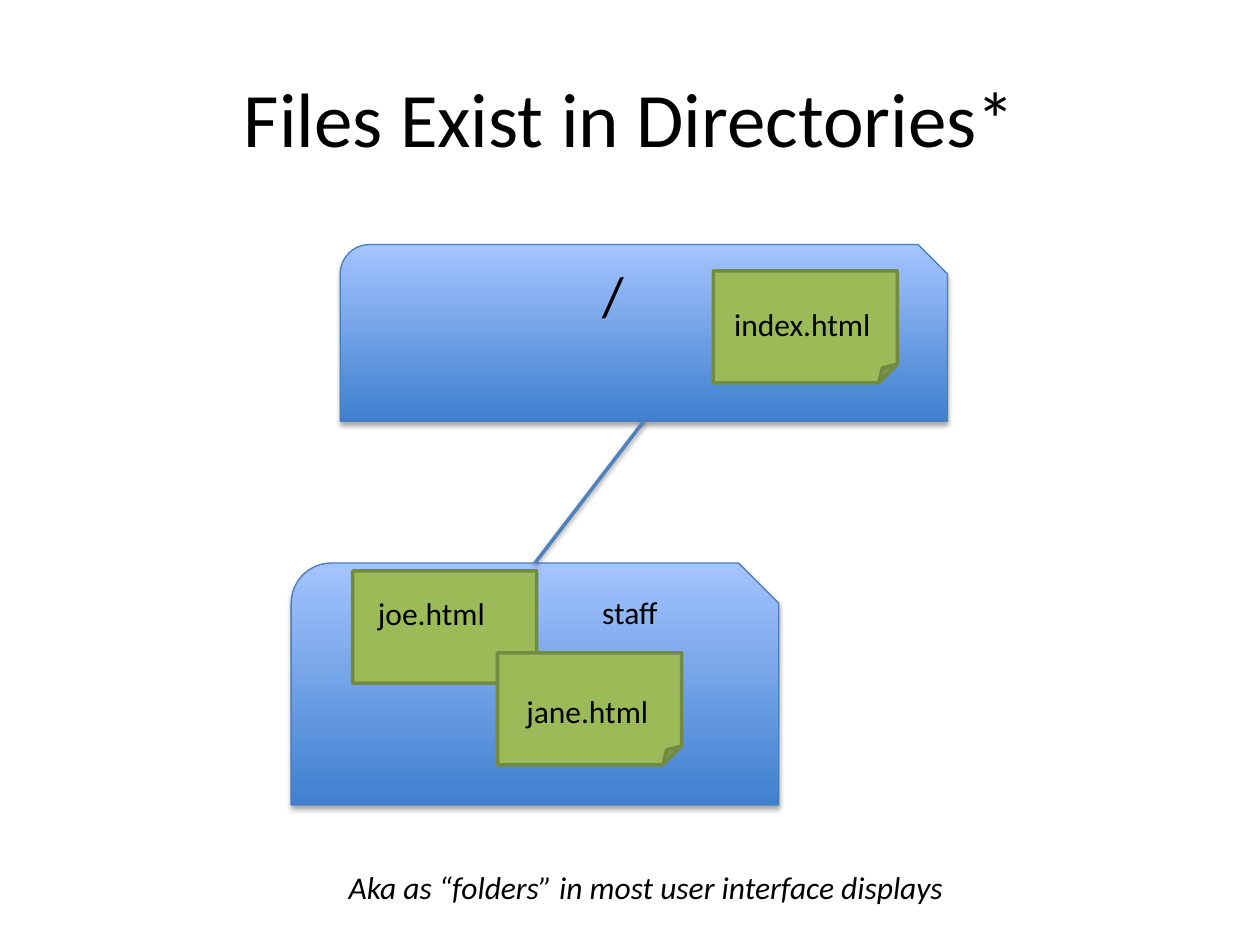
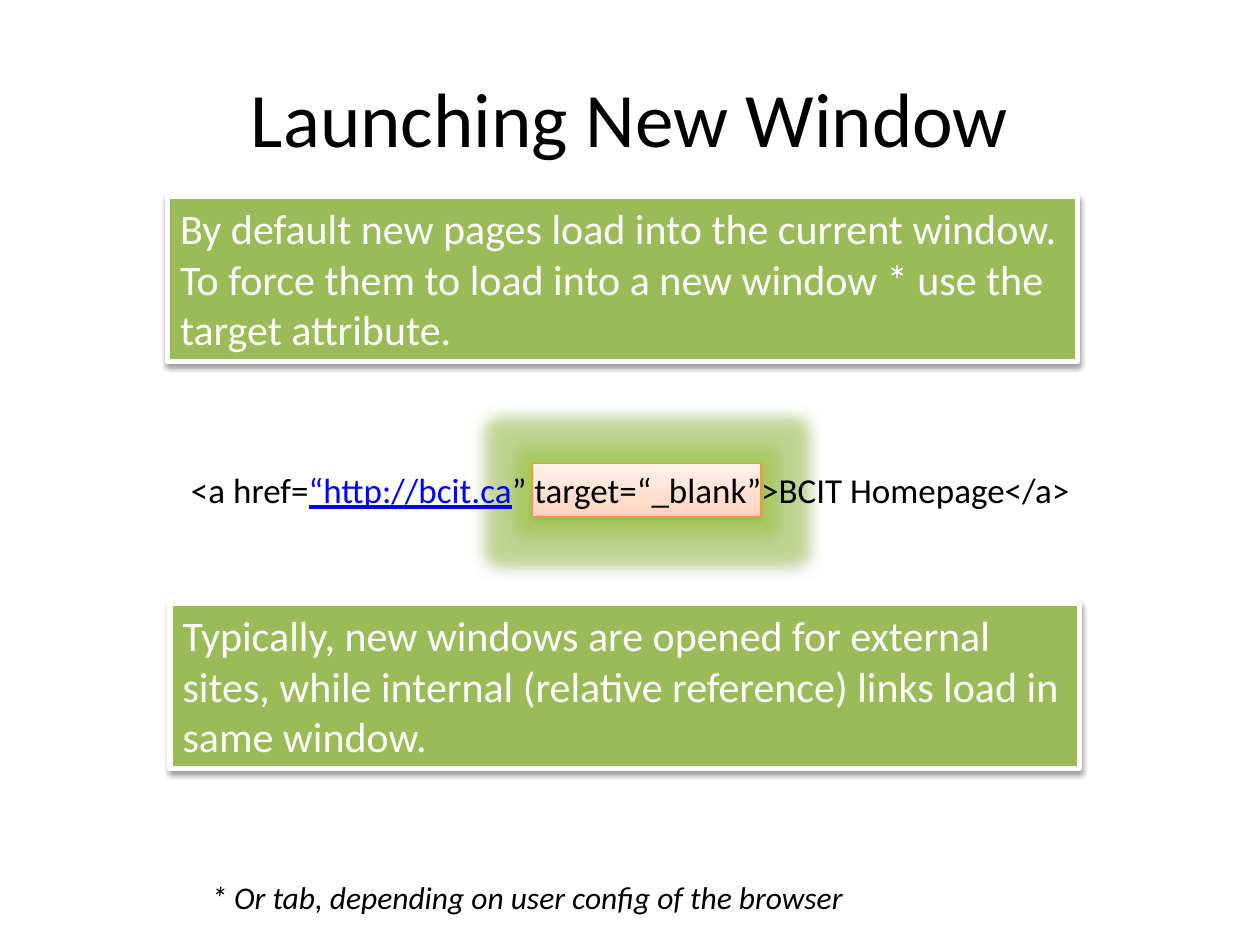
from copy import deepcopy

from lxml import etree
from pptx import Presentation
from pptx.dml.color import RGBColor
from pptx.enum.shapes import MSO_CONNECTOR, MSO_SHAPE
from pptx.enum.text import MSO_ANCHOR, PP_ALIGN
from pptx.oxml.ns import qn
from pptx.util import Cm, Pt

FONT = "Calibri"
BLACK = RGBColor(0x00, 0x00, 0x00)
WHITE = RGBColor(0xFF, 0xFF, 0xFF)
LINK_BLUE = RGBColor(0x00, 0x00, 0xFF)
GREEN = RGBColor(0x9B, 0xBB, 0x59)
DARK_GREEN = RGBColor(0x73, 0x8A, 0x42)
GLOW_GREEN = RGBColor(0x9B, 0xCF, 0x2A)
BLUE = RGBColor(0x4F, 0x81, 0xBD)
FOLDER_EDGE = RGBColor(0x4B, 0x7E, 0xBC)
ORANGE = RGBColor(0xF6, 0x92, 0x40)

# Gradient stops run from the bottom edge to the top edge
FOLDER_STOPS = [(0, RGBColor(0x3F, 0x80, 0xCE)), (1, RGBColor(0xA4, 0xC4, 0xFF))]
HIGHLIGHT_STOPS = [
    (0, RGBColor(0xFF, 0xD2, 0xBD)),
    (0.35, RGBColor(0xFF, 0xDE, 0xD0)),
    (1, RGBColor(0xFF, 0xF2, 0xED)),
]

FILE_WIDTH, FILE_HEIGHT = 3.71, 2.26
LABEL_HEIGHT = 1.02


# Text
def format_run(run, size, color=BLACK, italic=False):
    run.font.name = FONT
    run.font.size = Pt(size)
    run.font.color.rgb = color
    run.font.italic = italic


def add_titled_slide(presentation, title):
    slide = presentation.slides.add_slide(presentation.slide_layouts[5])
    shape = slide.shapes.title
    shape.left, shape.top, shape.width, shape.height = map(Cm, (1.27, 0.76, 22.86, 3.18))
    shape.text_frame.text = title
    shape.text_frame.vertical_anchor = MSO_ANCHOR.MIDDLE
    paragraph = shape.text_frame.paragraphs[0]
    paragraph.alignment = PP_ALIGN.CENTER
    format_run(paragraph.runs[0], 44)
    return slide


def add_label(slide, text, left, top, width, height=LABEL_HEIGHT, size=18,
              italic=False, alignment=PP_ALIGN.LEFT):
    box = slide.shapes.add_textbox(Cm(left), Cm(top), Cm(width), Cm(height))
    box.text_frame.word_wrap = True
    box.text_frame.text = text
    paragraph = box.text_frame.paragraphs[0]
    paragraph.alignment = alignment
    format_run(paragraph.runs[0], size, italic=italic)
    return box


# Effects and fills
def add_effect(shape, tag, color, opacity, **attributes):
    properties = shape._element.spPr
    effects = properties.find(qn("a:effectLst"))
    if effects is None:
        effects = etree.SubElement(properties, qn("a:effectLst"))
    effect = etree.SubElement(effects, qn(tag), attributes)
    tint = etree.SubElement(effect, qn("a:srgbClr"), val=str(color))
    etree.SubElement(tint, qn("a:alpha"), val=str(opacity * 1000))


def add_shadow(shape, opacity=38, distance=1.6):
    add_effect(shape, "a:outerShdw", BLACK, opacity, blurRad=str(Pt(3.1)),
               dist=str(Pt(distance)), dir="5400000", rotWithShape="0")


def fill_gradient(shape, stops):
    shape.fill.gradient()
    shape.fill.gradient_angle = 90
    stop_list = shape._element.spPr.find(".//" + qn("a:gsLst"))
    while len(stop_list) < len(stops):
        stop_list.append(deepcopy(stop_list[0]))
    for stop, (position, color) in zip(shape.fill.gradient_stops, stops):
        stop.position = position
        stop.color.rgb = color


# Shapes
def add_outlined_shape(slide, kind, left, top, width, height, edge, edge_width):
    shape = slide.shapes.add_shape(kind, Cm(left), Cm(top), Cm(width), Cm(height))
    shape.shadow.inherit = False
    shape.line.color.rgb = edge
    shape.line.width = Pt(edge_width)
    return shape


def add_folder(slide, left, top, width, height):
    folder = add_outlined_shape(slide, MSO_SHAPE.SNIP_ROUND_RECTANGLE,
                                left, top, width, height, FOLDER_EDGE, 0.75)
    fill_gradient(folder, FOLDER_STOPS)
    add_shadow(folder, 35, 1.8)
    return folder


def add_file(slide, left, top):
    file = add_outlined_shape(slide, MSO_SHAPE.FOLDED_CORNER, left, top,
                              FILE_WIDTH, FILE_HEIGHT, DARK_GREEN, 2)
    file.fill.solid()
    file.fill.fore_color.rgb = GREEN


def add_branch(slide, parent, child):
    branch = slide.shapes.add_connector(
        MSO_CONNECTOR.STRAIGHT,
        parent.left + parent.width // 2, parent.top + parent.height,
        child.left + child.width // 2, child.top)
    branch.line.color.rgb = BLUE
    branch.line.width = Pt(2)
    add_shadow(branch)


def add_callout(slide, text, left, top):
    callout = add_outlined_shape(slide, MSO_SHAPE.RECTANGLE, left, top,
                                 18.34, 3.33, WHITE, 3)
    callout.fill.solid()
    callout.fill.fore_color.rgb = GREEN
    add_shadow(callout)
    frame = callout.text_frame
    frame.word_wrap = True
    frame.vertical_anchor = MSO_ANCHOR.TOP
    frame.text = text
    frame.paragraphs[0].alignment = PP_ALIGN.LEFT
    format_run(frame.paragraphs[0].runs[0], 24, WHITE)


def add_highlight(slide, left, top, width, height):
    highlight = add_outlined_shape(slide, MSO_SHAPE.RECTANGLE,
                                   left, top, width, height, ORANGE, 0.75)
    fill_gradient(highlight, HIGHLIGHT_STOPS)
    add_effect(highlight, "a:glow", GLOW_GREEN, 40, rad=str(Pt(18)))
    add_shadow(highlight)


# Slides
def build_directories_slide(presentation):
    slide = add_titled_slide(presentation, "Files Exist in Directories*")
    add_label(slide, "Aka as “folders” in most user interface displays",
              4.45, 17.37, 17.15, italic=True, alignment=PP_ALIGN.CENTER)

    root = add_folder(slide, 6.86, 4.93, 12.24, 3.56)
    staff = add_folder(slide, 5.87, 11.35, 9.83, 4.88)
    add_label(slide, "/", 11.89, 5.13, 1.6, 1.63, size=32)
    for left, top in [(14.38, 5.46), (7.11, 11.51), (10.03, 13.16)]:
        add_file(slide, left, top)
    add_branch(slide, root, staff)

    for name, left, top, width in [
        ("index.html", 14.55, 6.02, 3.71),
        ("joe.html", 7.37, 11.86, 3.4),
        ("jane.html", 10.36, 13.82, 3.12),
        ("staff", 11.89, 11.84, 3.81),
    ]:
        add_label(slide, name, left, top, width)


def build_new_window_slide(presentation):
    slide = add_titled_slide(presentation, "Launching New Window")

    # Link markup with its target attribute highlighted
    add_highlight(slide, 10.74, 9.35, 4.6, 1.07)
    markup = add_label(slide, "<a href=", 2.79, 9.32, 19.84, 1.12, size=20,
                       alignment=PP_ALIGN.CENTER)
    paragraph = markup.text_frame.paragraphs[0]
    for text, color in [("“http://bcit.ca", LINK_BLUE),
                        ("” target=“_blank”>BCIT Homepage</a>", BLACK)]:
        run = paragraph.add_run()
        run.text = text
        format_run(run, 20, color)
        run.font.underline = color == LINK_BLUE

    add_callout(slide, "By default new pages load into the current window. "
                "To force them to load into a new window * use the target attribute.",
                3.38, 3.96)
    add_callout(slide, "Typically, new windows are opened for external sites, "
                "while internal (relative reference) links load in same window.",
                3.43, 12.17)
    add_label(slide, "* Or tab, depending on user config of the browser",
              4.01, 17.58, 17.75, italic=True)


def main():
    presentation = Presentation()
    presentation.slide_width = Cm(25.4)
    presentation.slide_height = Cm(19.05)
    build_directories_slide(presentation)
    build_new_window_slide(presentation)
    presentation.save("out.pptx")


if __name__ == "__main__":
    main()
